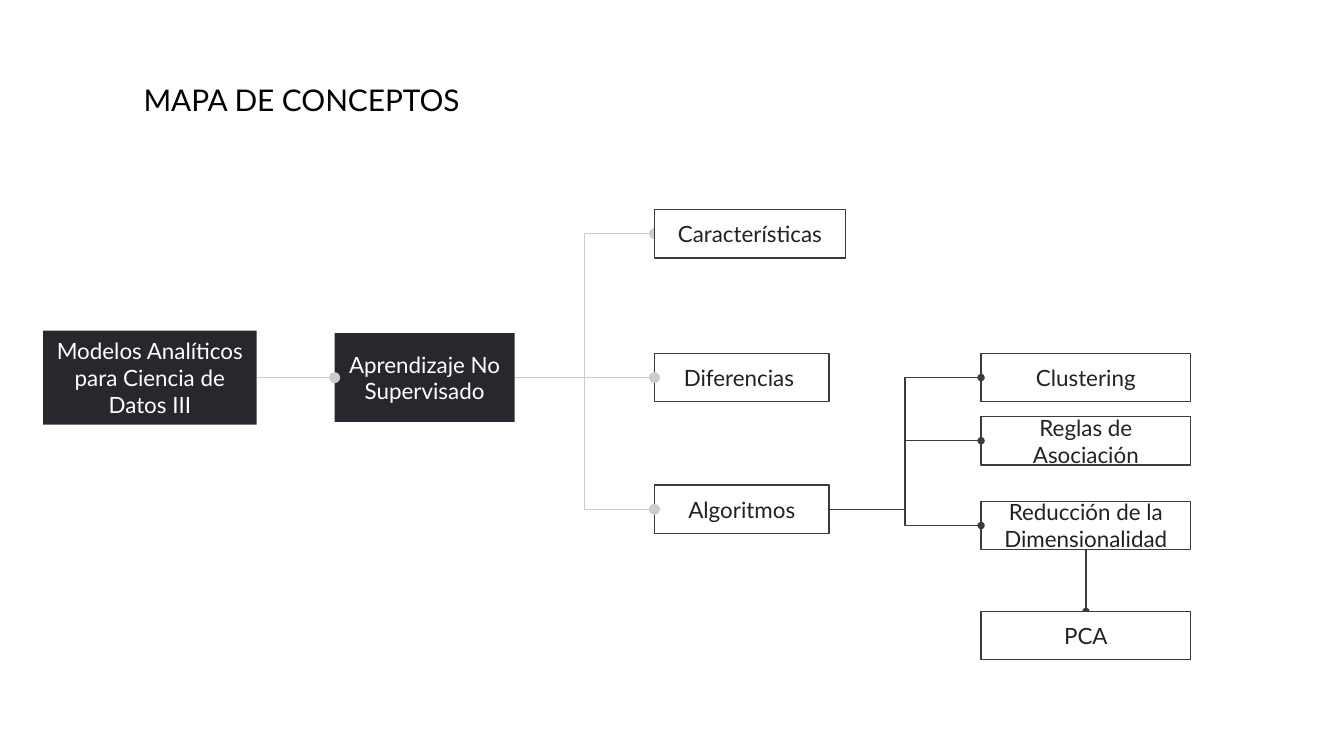
import pptx
import pptx.util
import pptx.dml.color
import pptx.enum.shapes
import pptx.enum.text
import pptx.oxml.ns
import lxml.etree

COLS, ROWS = 100, 56.25
WIDTH = pptx.util.Inches(10)
HEIGHT = WIDTH * 9 // 16
COLORS = {"dark": "27282D", "edge": "393B43", "pale": "CCCCCC",
          "white": "FFFFFF", "ink": "222222", "black": "000000"}
DOTS = {"pale": "med", "edge": "sm"}
NODE_H = 3.6
TOP, LEFT, BOTTOM, RIGHT = range(4)


def rgb(name):
    return pptx.dml.color.RGBColor.from_string(COLORS[name])


def place(box):
    x, y, w, h = box
    return [int(WIDTH * x / COLS), int(HEIGHT * y / ROWS),
            int(WIDTH * w / COLS), int(HEIGHT * h / ROWS)]


def write(sp, text, size, color, align, anchor):
    tf = sp.text_frame
    margin = pptx.util.Inches(0.1)
    frame = {"word_wrap": True, "vertical_anchor": anchor,
             "margin_left": margin, "margin_right": margin,
             "margin_top": margin, "margin_bottom": margin}
    for name, value in frame.items():
        setattr(tf, name, value)
    p = tf.paragraphs[0]
    p.alignment = align
    r = p.add_run()
    r.text = text
    for name, value in {"name": "Lato", "size": pptx.util.Pt(size)}.items():
        setattr(r.font, name, value)
    r.font.color.rgb = rgb(color)


def add_node(s, box, text, fill="white", line="edge", ink="ink"):
    sp = s.shapes.add_shape(pptx.enum.shapes.MSO_SHAPE.RECTANGLE, *place(box))
    sp.shadow.inherit = False
    sp.fill.solid()
    sp.fill.fore_color.rgb = rgb(fill)
    if line:
        sp.line.color.rgb = rgb(line)
        sp.line.width = pptx.util.Pt(0.75)
    else:
        sp.line.fill.background()
    write(sp, text, 12, ink, pptx.enum.text.PP_ALIGN.CENTER,
          pptx.enum.text.MSO_ANCHOR.MIDDLE)
    return sp


def link(s, start, end, color, sites=(RIGHT, LEFT), behind=False):
    c = s.shapes.add_connector(pptx.enum.shapes.MSO_CONNECTOR.ELBOW, 0, 0, 0, 0)
    c.begin_connect(start, sites[0])
    c.end_connect(end, sites[1])
    c.line.color.rgb = rgb(color)
    c.line.width = pptx.util.Pt(0.75)
    qn = pptx.oxml.ns.qn
    lxml.etree.SubElement(c.line._get_or_add_ln(), qn("a:tailEnd"),
                          type="oval", w=DOTS[color], len=DOTS[color])
    lxml.etree.SubElement(c._element.spPr, qn("a:effectLst"))
    if behind:
        c._element.addnext(end._element)


def add_title(s, box):
    sp = s.shapes.add_textbox(*place(box))
    write(sp, "MAPA DE CONCEPTOS", 16, "black", pptx.enum.text.PP_ALIGN.LEFT,
          pptx.enum.text.MSO_ANCHOR.TOP)


def add_roots(s, box):
    x, y, w, h = box
    look = {"fill": "dark", "line": None, "ink": "white"}
    course = add_node(s, (x, y, 15.9, h),
                      "Modelos Analíticos para Ciencia de Datos III", **look)
    subject = add_node(s, (x + w - 13.4, y + 0.2, 13.4, h - 0.4),
                       "Aprendizaje No Supervisado", **look)
    link(s, course, subject, "pale")
    return subject


def add_topics(s, box, parent):
    x, y, w, h = box
    topics = [("Características", 0, w), ("Diferencias ", 10.7, w - 1.2),
              ("Algoritmos", h - NODE_H, w - 1.2)]
    for text, top, width in topics:
        node = add_node(s, (x, y + top, width, NODE_H), text)
        link(s, parent, node, "pale", behind=top == 0)
    return node


def add_algorithms(s, box, parent):
    x, y, w, h = box
    algorithms = [("Clustering", 0), ("Reglas de Asociación", 4.7),
                  ("Reducción de la Dimensionalidad", 11)]
    for text, top in algorithms:
        node = add_node(s, (x, y + top, w, NODE_H), text)
        link(s, parent, node, "edge")
    pca = add_node(s, (x, y + h - NODE_H, w, NODE_H), "PCA")
    link(s, node, pca, "edge", (BOTTOM, TOP), behind=True)


def main():
    prs = pptx.Presentation()
    prs.slide_width, prs.slide_height = WIDTH, HEIGHT
    s = prs.slides.add_slide(prs.slide_layouts[6])
    add_title(s, (9.7, 5.1, 26.9, 4.7))
    subject = add_roots(s, (3.2, 24.6, 35.1, 7))
    last_topic = add_topics(s, (48.7, 15.6, 14.2, 24.1), subject)
    add_algorithms(s, (73, 26.3, 15.6, 22.8), last_topic)
    prs.save("out.pptx")


if __name__ == "__main__":
    main()
